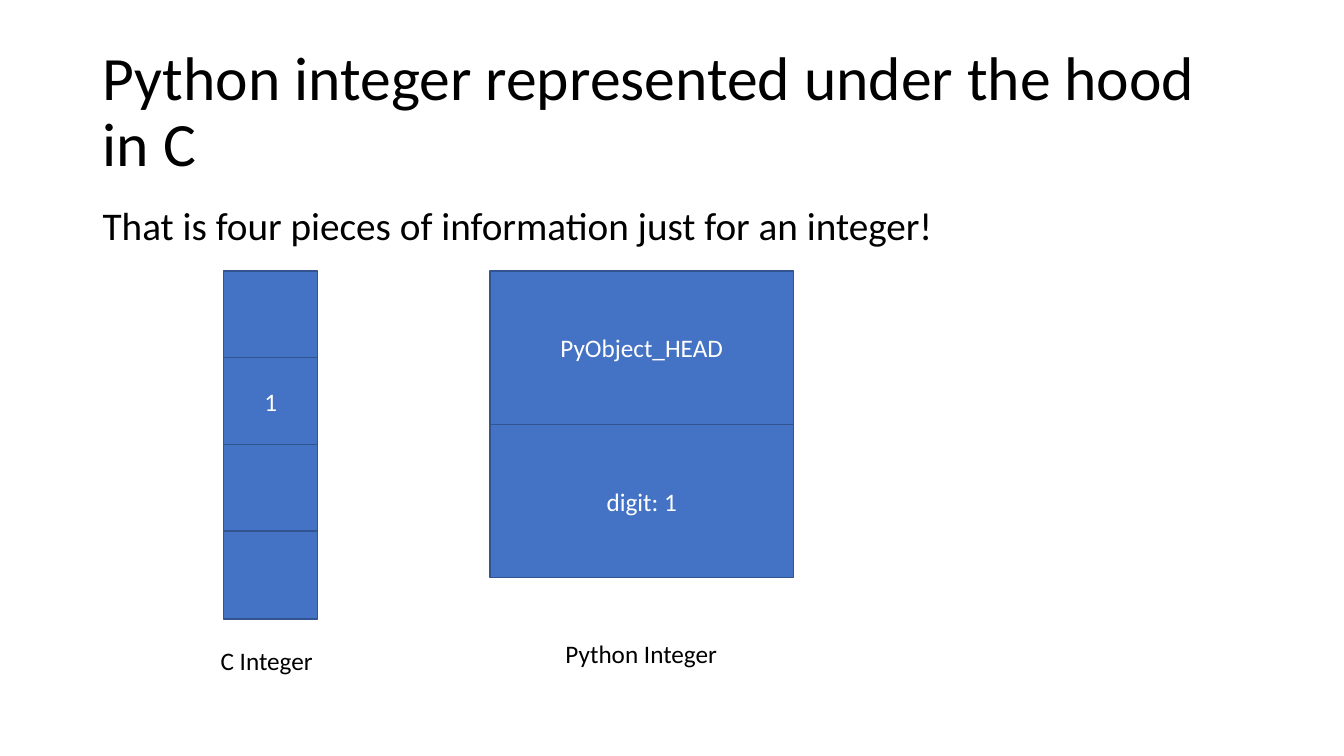
from dataclasses import dataclass

from pptx import Presentation
from pptx.dml.color import RGBColor
from pptx.enum.shapes import MSO_SHAPE
from pptx.enum.text import MSO_ANCHOR, MSO_AUTO_SIZE, PP_ALIGN
from pptx.slide import Slide
from pptx.text.text import TextFrame
from pptx.util import Inches, Pt

RECTANGLE = MSO_SHAPE.RECTANGLE
TOP, MIDDLE = MSO_ANCHOR.TOP, MSO_ANCHOR.MIDDLE
CENTER = PP_ALIGN.CENTER
FIT_SHAPE = MSO_AUTO_SIZE.SHAPE_TO_FIT_TEXT


@dataclass(frozen=True)
class Theme:
    font: str = "Calibri"
    ink: RGBColor = RGBColor(0x00, 0x00, 0x00)
    cell_ink: RGBColor = RGBColor(0xFF, 0xFF, 0xFF)
    cell_fill: RGBColor = RGBColor(0x44, 0x72, 0xC4)
    cell_line: RGBColor = RGBColor(0x32, 0x54, 0x91)
    title_size: int = 44
    body_size: int = 28
    label_size: int = 18
    line_width: int = 1


@dataclass(frozen=True)
class Box:
    left: float
    top: float
    width: float
    height: float

    def lengths(self) -> list[int]:
        return [Inches(v) for v in (self.left, self.top, self.width, self.height)]


@dataclass(frozen=True)
class MemoryLayout:
    """A stack of memory cells, one per content, with a caption below."""
    first_cell: Box
    pitch: float
    contents: tuple[str, ...]
    caption: str
    caption_box: Box


THEME = Theme()

TITLE = "Python integer represented under the hood in C"
TITLE_BOX = Box(0.92, 0.4, 11.5, 1.45)
STATEMENT = "That is four pieces of information just for an integer!"
STATEMENT_BOX = Box(0.92, 2, 11.5, 4.76)

MEMORY_LAYOUTS = (
    MemoryLayout(Box(2.22, 2.69, 0.93, 0.87), 0.86, ("", "1", "", ""),
                 "C Integer", Box(2.09, 6.35, 1.13, 0.4)),
    MemoryLayout(Box(4.86, 2.69, 3.01, 1.52), 1.52, ("PyObject_HEAD", "digit: 1"),
                 "Python Integer", Box(5.51, 6.28, 1.72, 0.4)),
)


def write(frame: TextFrame, text: str, size: int, color: RGBColor) -> None:
    frame.text = text
    for run in frame.paragraphs[0].runs:
        run.font.name = THEME.font
        run.font.size = Pt(size)
        run.font.color.rgb = color


def add_heading(slide: Slide, box: Box, text: str, size: int,
                anchor: MSO_ANCHOR, space_before: int) -> None:
    frame = slide.shapes.add_textbox(*box.lengths()).text_frame
    frame.word_wrap = True
    frame.vertical_anchor = anchor
    write(frame, text, size, THEME.ink)
    frame.paragraphs[0].line_spacing = 0.9
    frame.paragraphs[0].space_before = Pt(space_before)


def add_cell(slide: Slide, box: Box, content: str) -> None:
    cell = slide.shapes.add_shape(RECTANGLE, *box.lengths())
    cell.shadow.inherit = False
    cell.fill.solid()
    cell.fill.fore_color.rgb = THEME.cell_fill
    cell.line.color.rgb = THEME.cell_line
    cell.line.width = Pt(THEME.line_width)
    if content:
        cell.text_frame.vertical_anchor = MIDDLE
        write(cell.text_frame, content, THEME.label_size, THEME.cell_ink)
        cell.text_frame.paragraphs[0].alignment = CENTER


def add_caption(slide: Slide, box: Box, text: str) -> None:
    frame = slide.shapes.add_textbox(*box.lengths()).text_frame
    frame.word_wrap = False
    frame.auto_size = FIT_SHAPE
    write(frame, text, THEME.label_size, THEME.ink)


def add_memory_layout(slide: Slide, layout: MemoryLayout) -> None:
    first = layout.first_cell
    for index, content in enumerate(layout.contents):
        top = first.top + index * layout.pitch
        add_cell(slide, Box(first.left, top, first.width, first.height), content)
    add_caption(slide, layout.caption_box, layout.caption)


def main() -> None:
    presentation = Presentation()
    presentation.slide_width = Inches(13.33)
    presentation.slide_height = Inches(7.5)
    slide = presentation.slides.add_slide(presentation.slide_layouts[6])

    add_heading(slide, TITLE_BOX, TITLE, THEME.title_size, MIDDLE, 0)
    add_heading(slide, STATEMENT_BOX, STATEMENT, THEME.body_size, TOP, 10)
    for layout in MEMORY_LAYOUTS:
        add_memory_layout(slide, layout)

    presentation.save("out.pptx")


if __name__ == "__main__":
    main()
